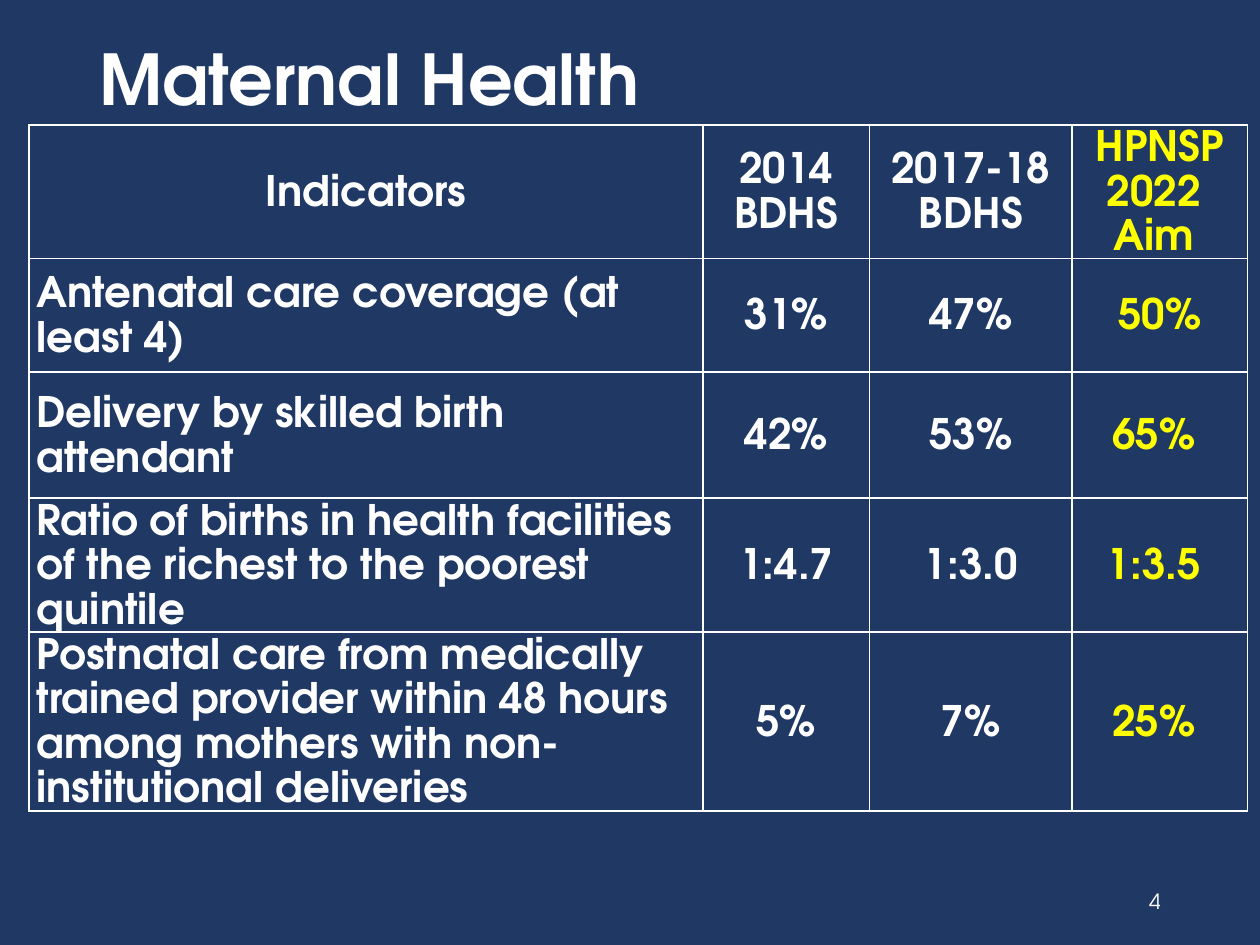
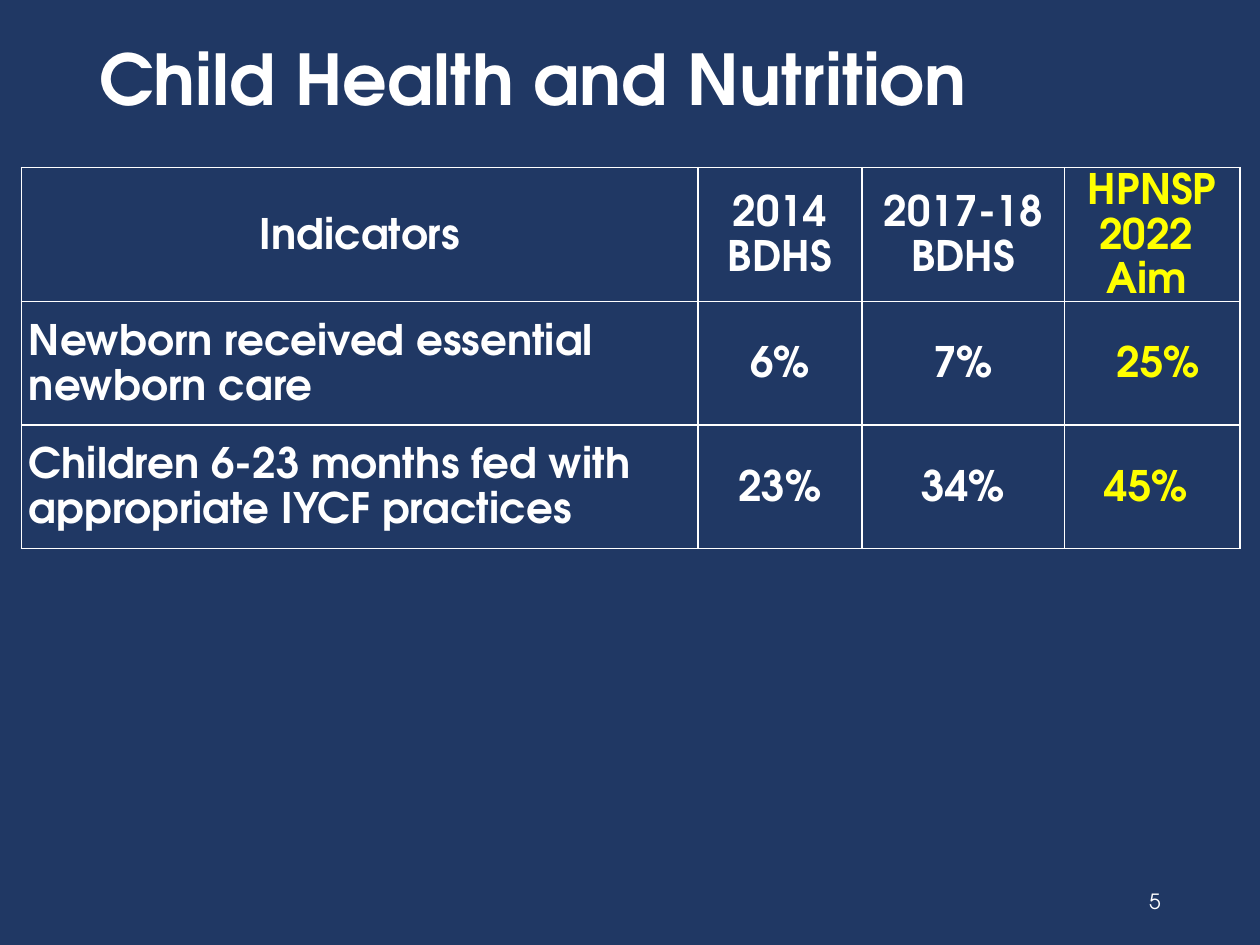
from dataclasses import dataclass

from lxml.etree import SubElement
from pptx import Presentation
from pptx.dml.color import RGBColor
from pptx.enum.text import MSO_ANCHOR as Anchor, PP_ALIGN as Align
from pptx.oxml.ns import qn
from pptx.util import Inches, Pt

NAVY = RGBColor(0x20, 0x38, 0x64)
WHITE = RGBColor(0xFF, 0xFF, 0xFF)
YELLOW = RGBColor(0xFF, 0xFF, 0x00)
FONT = "TeX Gyre Adventor"

HEADINGS = ("Indicators", "2014\nBDHS", "2017-18\nBDHS", "HPNSP\n2022 \nAim ")
HEADING_HEIGHT = 0.89
AIM_COL = 3
CELL_LINE = Pt(25.5)


@dataclass(frozen=True)
class Indicator:
    name: str
    bdhs_2014: str
    bdhs_2017: str
    aim: str
    height: float

    def cells(self) -> tuple[str, ...]:
        return self.name, self.bdhs_2014, self.bdhs_2017, self.aim


@dataclass(frozen=True)
class Topic:
    title: str
    number: int
    left: float
    top: float
    col_widths: tuple[float, ...]
    indicators: tuple[Indicator, ...]


TOPICS = (
    Topic("Maternal Health", 4, 0.23, 0.99, (5.35, 1.32, 1.61, 1.39), (
        Indicator("Antenatal care coverage (at least 4)",
                  "31%", "47%", "50%", 0.9),
        Indicator("Delivery by skilled birth attendant",
                  "42%", "53%", "65% ", 1),
        Indicator("Ratio of births in health facilities of the richest "
                  "to the poorest quintile",
                  "1:4.7", "1:3.0", "1:3.5 ", 0.99),
        Indicator("Postnatal care from medically trained provider within "
                  "48 hours among mothers with non-institutional deliveries",
                  "5%", "7%", "25% ", 0.98),
    )),
    Topic("Child Health and Nutrition", 5, 0.17, 1.33, (5.37, 1.3, 1.61, 1.39), (
        Indicator("Newborn received essential newborn care",
                  "6%", "7%", " 25%", 0.98),
        Indicator("Children 6-23 months fed with appropriate IYCF practices",
                  "23%", "34%", "45% ", 0.98),
    )),
)


def write(tf, text: str, size: float, color: RGBColor = WHITE, bold: bool = False,
          align: Align = Align.LEFT, spacing: float | Pt = 1.0) -> None:
    """Fill a text frame, one paragraph for each line of text."""
    for i, line in enumerate(text.split("\n")):
        p = tf.add_paragraph() if i else tf.paragraphs[0]
        p.alignment = align
        p.line_spacing = spacing
        r = p.add_run()
        r.text = line
        r.font.name = FONT
        r.font.size = Pt(size)
        r.font.bold = bold
        r.font.color.rgb = color


def add_text(s, left: float, top: float, width: float, height: float,
             text: str, size: float, **style) -> None:
    sp = s.shapes.add_textbox(Inches(left), Inches(top), Inches(width), Inches(height))
    tf = sp.text_frame
    tf.word_wrap = True
    tf.vertical_anchor = Anchor.MIDDLE
    write(tf, text, size, **style)


def add_borders(cell) -> None:
    tc_pr = cell._tc.get_or_add_tcPr()
    for i, side in enumerate(("a:lnL", "a:lnR", "a:lnT", "a:lnB")):
        ln = SubElement(tc_pr, qn(side), w=str(Pt(1)))
        fill = SubElement(ln, qn("a:solidFill"))
        SubElement(fill, qn("a:srgbClr"), val=str(WHITE))
        tc_pr.insert(i, ln)


def fill_cell(cell, text: str, row: int, col: int) -> None:
    cell.margin_left = cell.margin_right = Inches(0.06)
    cell.margin_top = cell.margin_bottom = 0
    cell.vertical_anchor = Anchor.MIDDLE
    cell.fill.background()
    add_borders(cell)
    is_name = row > 0 and col == 0
    write(cell.text_frame, text, 24, bold=True, spacing=CELL_LINE,
          color=YELLOW if col == AIM_COL else WHITE,
          align=Align.LEFT if is_name else Align.CENTER)


def add_indicator_table(s, topic: Topic) -> None:
    rows = [HEADINGS, *(ind.cells() for ind in topic.indicators)]
    heights = [HEADING_HEIGHT, *(ind.height for ind in topic.indicators)]
    table = s.shapes.add_table(
        len(rows), len(HEADINGS), Inches(topic.left), Inches(topic.top),
        Inches(sum(topic.col_widths)), Inches(sum(heights))).table
    table.first_row = table.horz_banding = False
    for column, width in zip(table.columns, topic.col_widths):
        column.width = Inches(width)
    for i, (texts, height) in enumerate(zip(rows, heights)):
        table.rows[i].height = Inches(height)
        for j, text in enumerate(texts):
            fill_cell(table.cell(i, j), text, i, j)


def add_topic_slide(prs, topic: Topic) -> None:
    s = prs.slides.add_slide(prs.slide_layouts[6])
    s.background.fill.solid()
    s.background.fill.fore_color.rgb = NAVY
    add_text(s, 0.69, 0.17, 8.62, 0.98, topic.title, 40, bold=True, spacing=0.9)
    add_text(s, 7.06, 6.95, 2.25, 0.4, str(topic.number), 12, align=Align.RIGHT)
    add_indicator_table(s, topic)


def main() -> None:
    prs = Presentation()
    prs.slide_width, prs.slide_height = Inches(10), Inches(7.5)
    for topic in TOPICS:
        add_topic_slide(prs, topic)
    prs.save("out.pptx")


if __name__ == "__main__":
    main()
